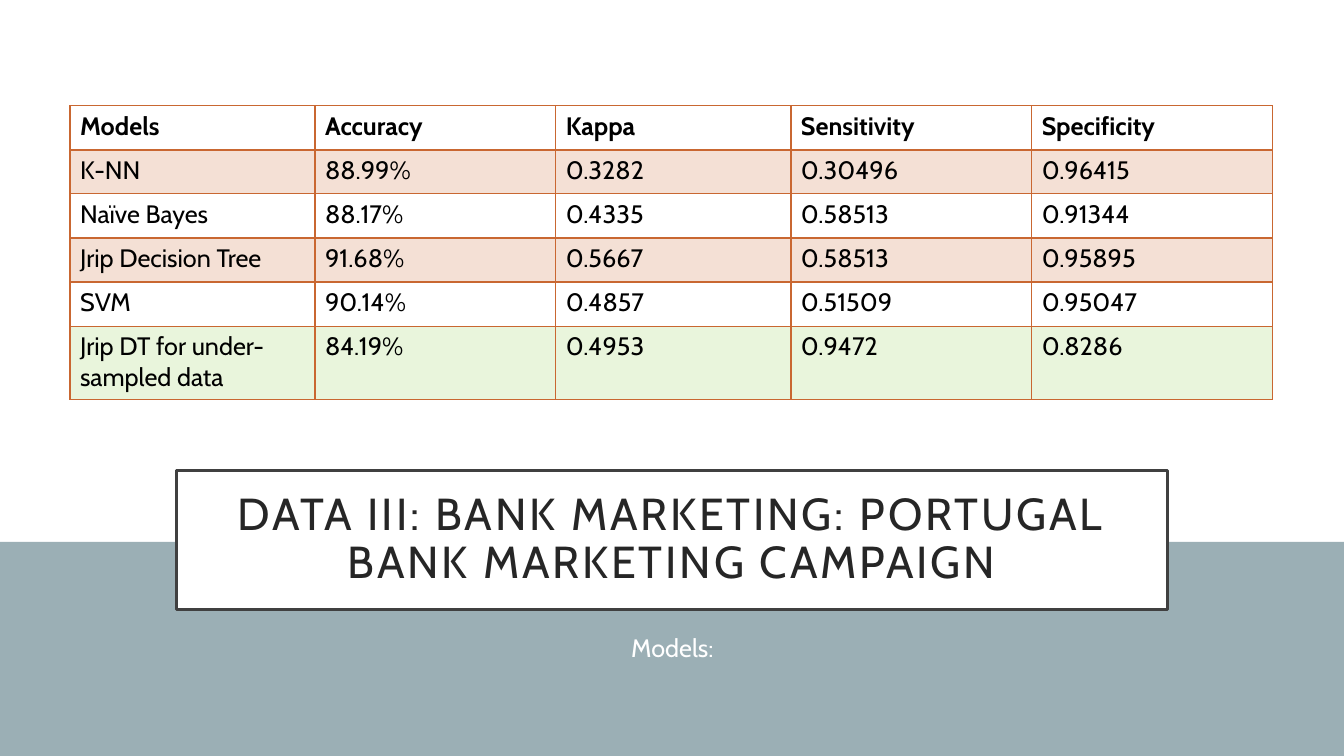
from lxml.etree import SubElement
from pptx import Presentation
from pptx.dml.color import RGBColor
from pptx.enum.shapes import MSO_SHAPE
from pptx.enum.text import MSO_ANCHOR, PP_ALIGN
from pptx.oxml.ns import qn
from pptx.util import Pt

COLORS = {
    "band": "9BAFB5", "white": "FFFFFF", "frame": "404040", "title": "262626",
    "text": "000000", "accent": "C96731", "highlight": "92D050",
}
FONT = "Cabin"
COLUMN_WIDTHS = [175, 172, 168, 172, 172]
ROW_HEIGHTS = [31.5] * 5 + [52.5]
ROW_FILLS = [None, "accent", None, "accent", None, "highlight"]
RESULTS = [
    ["Models", "Accuracy", "Kappa", "Sensitivity", "Specificity"],
    ["K-NN", "88.99%", "0.3282", "0.30496", "0.96415"],
    ["Naïve Bayes", "88.17%", "0.4335", "0.58513", "0.91344"],
    ["Jrip Decision Tree", "91.68%", "0.5667", "0.58513", "0.95895"],
    ["SVM", "90.14%", "0.4857", "0.51509", "0.95047"],
    ["Jrip DT for under-sampled data", "84.19%", "0.4953", "0.9472", "0.8286"],
]


def color(name):
    """Return the named colour."""
    return RGBColor.from_string(COLORS[name])


def write(frame, text, size, ink, align=PP_ALIGN.LEFT, bold=False):
    """Write one styled paragraph and return it."""
    frame.word_wrap = True
    para = frame.paragraphs[0]
    para.text = text
    para.alignment = align
    para.font.name = FONT
    para.font.size = Pt(size)
    para.font.bold = bold
    para.font.color.rgb = color(ink)
    return para


def add_panel(page, box, fill, line=None):
    """Add a flat rectangle in the given box."""
    panel = page.shapes.add_shape(MSO_SHAPE.RECTANGLE, *map(Pt, box))
    panel.shadow.inherit = False
    panel.fill.solid()
    panel.fill.fore_color.rgb = color(fill)
    if line:
        panel.line.color.rgb = color(line)
        panel.line.width = Pt(2.5)
    else:
        panel.line.fill.background()
    return panel


def add_title(page, box, text):
    """Add the framed, letter-spaced title."""
    frame = add_panel(page, box, "white", "frame").text_frame
    frame.margin_left = frame.margin_right = Pt(21.6)
    frame.margin_top = frame.margin_bottom = Pt(14.4)
    frame.vertical_anchor = MSO_ANCHOR.MIDDLE
    para = write(frame, text, 32, "title", PP_ALIGN.CENTER)
    para.line_spacing = 0.9
    para.font._rPr.set("spc", "200")


def add_subtitle(page, box, text):
    """Add the centred line under the title."""
    frame = page.shapes.add_textbox(*map(Pt, box)).text_frame
    write(frame, text, 18, "white", PP_ALIGN.CENTER).space_before = Pt(10)


def add_borders(cell, bottom_width):
    """Draw the four accent borders of a cell."""
    properties = cell._tc.get_or_add_tcPr()
    for side, width in (("L", 1), ("R", 1), ("T", 1), ("B", bottom_width)):
        line = SubElement(properties, qn(f"a:ln{side}"), w=str(Pt(width)))
        fill = SubElement(line, qn("a:solidFill"))
        SubElement(fill, qn("a:srgbClr"), val=COLORS["accent"])


def fill_cell(cell, fill):
    """Tint a cell at 20 % opacity, or leave it clear."""
    if fill is None:
        cell.fill.background()
        return
    cell.fill.solid()
    cell.fill.fore_color.rgb = color(fill)
    tint = cell._tc.tcPr.find(qn("a:solidFill")).find(qn("a:srgbClr"))
    SubElement(tint, qn("a:alpha"), val="20000")


def add_results(page, box):
    """Add the table of model scores."""
    table = page.shapes.add_table(
        len(RESULTS), len(COLUMN_WIDTHS), *map(Pt, box)).table
    table.first_row = table.horz_banding = False
    for column, width in zip(table.columns, COLUMN_WIDTHS):
        column.width = Pt(width)
    for index, (row, height) in enumerate(zip(table.rows, ROW_HEIGHTS)):
        row.height = Pt(height)
        header = index == 0
        for cell, text in zip(row.cells, RESULTS[index]):
            write(cell.text_frame, text, 18, "text", bold=header)
            add_borders(cell, 2 if header else 1)
            fill_cell(cell, ROW_FILLS[index])


def main():
    """Build and save the slide."""
    deck = Presentation()
    deck.slide_width, deck.slide_height = Pt(960), Pt(540)
    page = deck.slides.add_slide(deck.slide_layouts[6])
    add_panel(page, (0, 387, 960, 153), "band")
    add_title(page, (126, 336, 708, 99.5),
              "DATA III: BANK MARKETING: PORTUGAL BANK MARKETING CAMPAIGN")
    add_subtitle(page, (212.5, 448, 535.5, 42.5), "Models:")
    add_results(page, (50, 75.5, sum(COLUMN_WIDTHS), sum(ROW_HEIGHTS)))
    deck.save("out.pptx")


if __name__ == "__main__":
    main()
